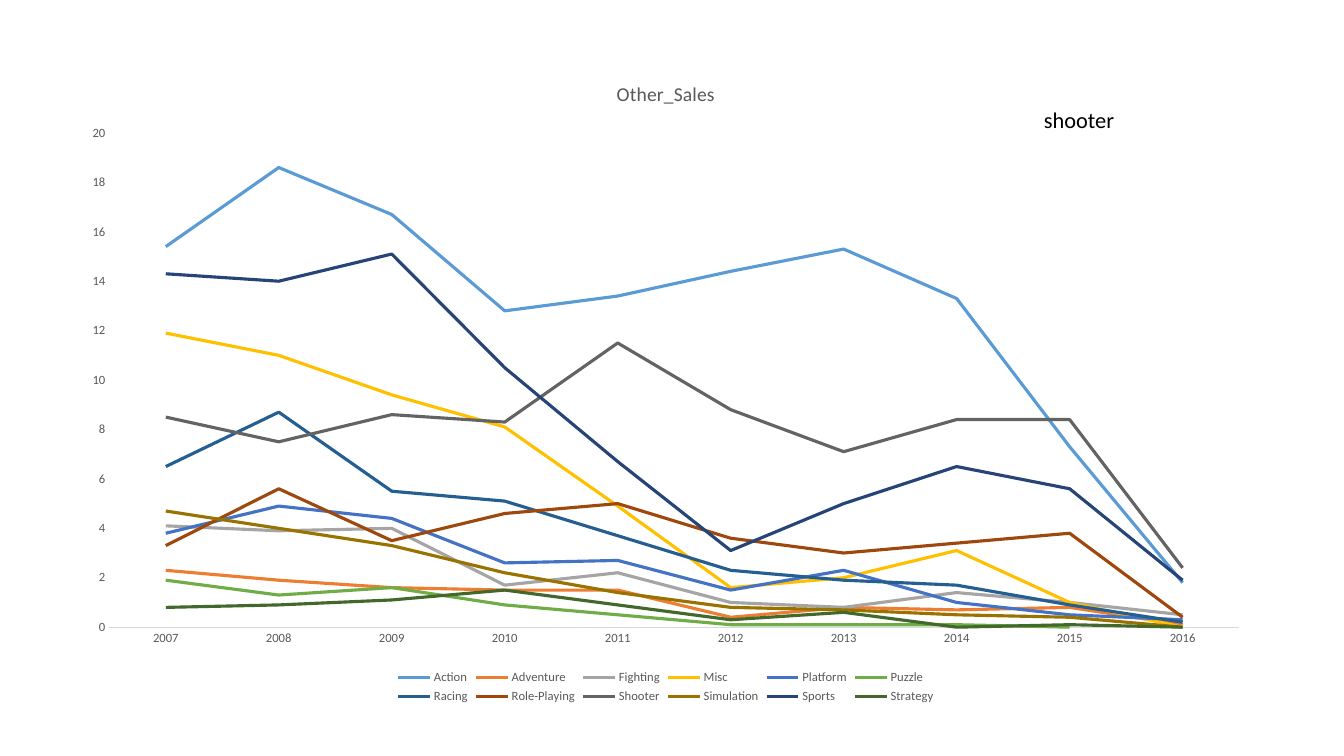
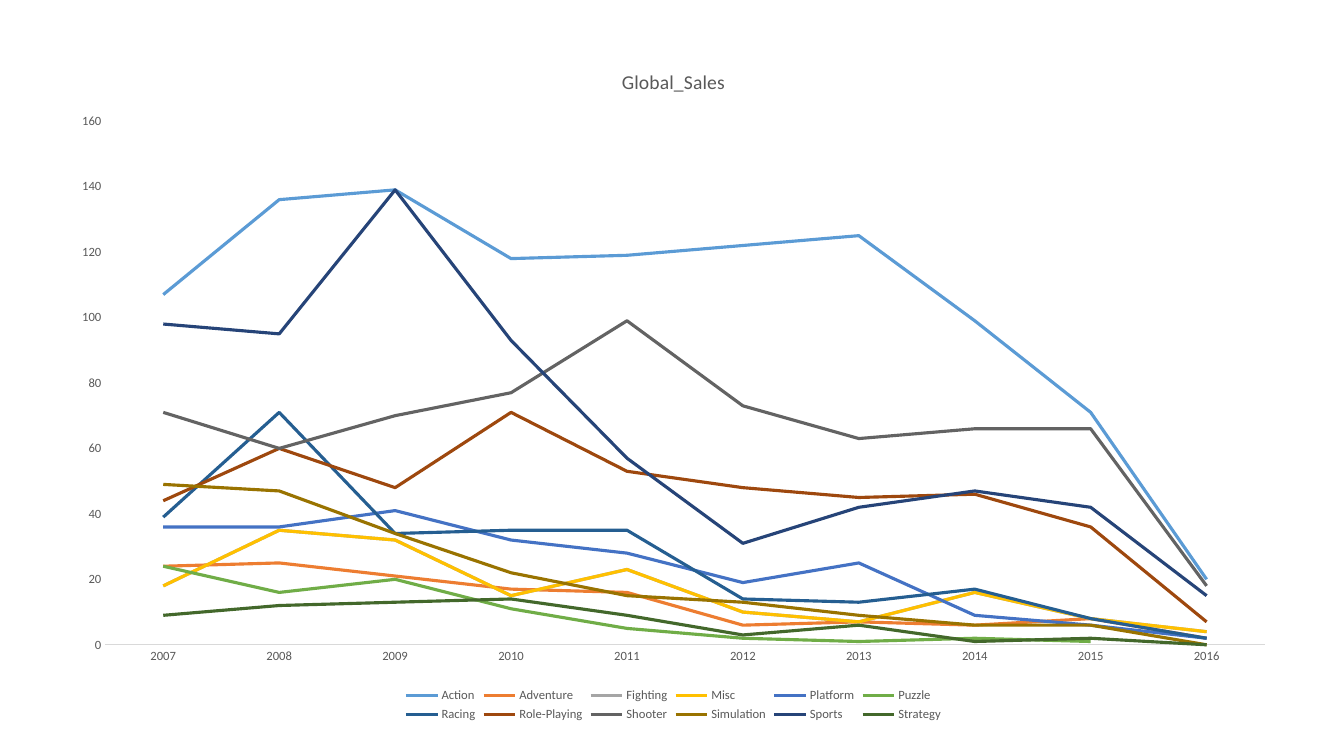
from pptx import Presentation
from pptx.chart.data import CategoryChartData
from pptx.dml.color import RGBColor
from pptx.enum.chart import XL_CHART_TYPE, XL_LEGEND_POSITION, XL_TICK_MARK
from pptx.util import Cm, Pt

LINE = XL_CHART_TYPE.LINE
BOTTOM = XL_LEGEND_POSITION.BOTTOM
NO_TICK = XL_TICK_MARK.NONE

FONT = "Calibri"
COLORS = {"text": "000000", "label": "595959", "axis": "D9D9D9"}
GENRES = {
    "Action": "5B9BD5",
    "Adventure": "ED7D31",
    "Fighting": "A5A5A5",
    "Misc": "FFC000",
    "Platform": "4472C4",
    "Puzzle": "70AD47",
    "Racing": "255E91",
    "Role-Playing": "9E480E",
    "Shooter": "636363",
    "Simulation": "997300",
    "Sports": "264478",
    "Strategy": "43682B",
}
YEARS = range(2007, 2017)

OTHER = {
    "Action": (15.4, 18.6, 16.7, 12.8, 13.4, 14.4, 15.3, 13.3, 7.3, 1.8),
    "Adventure": (2.3, 1.9, 1.6, 1.5, 1.5, 0.4, 0.8, 0.7, 0.8, 0.1),
    "Fighting": (4.1, 3.9, 4, 1.7, 2.2, 1, 0.8, 1.4, 1, 0.5),
    "Misc": (11.9, 11, 9.4, 8.1, 4.9, 1.6, 2, 3.1, 1, 0),
    "Platform": (3.8, 4.9, 4.4, 2.6, 2.7, 1.5, 2.3, 1, 0.5, 0.3),
    "Puzzle": (1.9, 1.3, 1.6, 0.9, 0.5, 0.1, 0.1, 0.1, 0, None),
    "Racing": (6.5, 8.7, 5.5, 5.1, 3.7, 2.3, 1.9, 1.7, 0.9, 0.2),
    "Role-Playing": (3.3, 5.6, 3.5, 4.6, 5, 3.6, 3, 3.4, 3.8, 0.4),
    "Shooter": (8.5, 7.5, 8.6, 8.3, 11.5, 8.8, 7.1, 8.4, 8.4, 2.4),
    "Simulation": (4.7, 4, 3.3, 2.2, 1.4, 0.8, 0.7, 0.5, 0.4, 0),
    "Sports": (14.3, 14, 15.1, 10.5, 6.7, 3.1, 5, 6.5, 5.6, 1.9),
    "Strategy": (0.8, 0.9, 1.1, 1.5, 0.9, 0.3, 0.6, 0, 0.1, 0),
}
GLOBAL = {
    "Action": (107, 136, 139, 118, 119, 122, 125, 99, 71, 20),
    "Adventure": (24, 25, 21, 17, 16, 6, 7, 6, 8, 2),
    "Fighting": (18, 35, 32, 15, 23, 10, 7, 16, 8, 4),
    "Misc": (18, 35, 32, 15, 23, 10, 7, 16, 8, 4),
    "Platform": (36, 36, 41, 32, 28, 19, 25, 9, 6, 2),
    "Puzzle": (24, 16, 20, 11, 5, 2, 1, 2, 1, None),
    "Racing": (39, 71, 34, 35, 35, 14, 13, 17, 8, 2),
    "Role-Playing": (44, 60, 48, 71, 53, 48, 45, 46, 36, 7),
    "Shooter": (71, 60, 70, 77, 99, 73, 63, 66, 66, 18),
    "Simulation": (49, 47, 34, 22, 15, 13, 9, 6, 6, 0),
    "Sports": (98, 95, 139, 93, 57, 31, 42, 47, 42, 15),
    "Strategy": (9, 12, 13, 14, 9, 3, 6, 1, 2, 0),
}


def rgb(name):
    return RGBColor.from_string(COLORS[name])


def style(font, size, color):
    font.name = FONT
    font.size = Pt(size)
    font.bold = False
    font.color.rgb = rgb(color)


def add_run(frame, text, size, color):
    run = frame.paragraphs[0].add_run()
    run.text = text
    style(run.font, size, color)


def style_axes(chart, top, step):
    years, sales = chart.category_axis, chart.value_axis
    for axis in (years, sales):
        axis.has_major_gridlines = False
        axis.major_tick_mark = axis.minor_tick_mark = NO_TICK
        style(axis.tick_labels.font, 9, "label")
    years.format.line.color.rgb = rgb("axis")
    years.format.line.width = Pt(0.75)
    sales.format.line.fill.background()
    sales.minimum_scale, sales.maximum_scale = 0, top
    sales.major_unit = step


def sales_chart(slide, box, title, sales, top, step):
    """Draw one line per genre inside box (left, top, width, height in cm)."""
    data = CategoryChartData()
    data.categories = YEARS
    for genre in GENRES:
        data.add_series(genre, sales[genre])
    chart = slide.shapes.add_chart(LINE, *map(Cm, box), data).chart
    style(chart.font, 10, "text")
    chart.has_title = True
    add_run(chart.chart_title.text_frame, title, 14, "label")
    chart.has_legend = True
    chart.legend.position = BOTTOM
    chart.legend.include_in_layout = False
    style(chart.legend.font, 9, "label")
    style_axes(chart, top, step)
    plot = chart.plots[0]
    plot.vary_by_categories = False
    for line, color in zip(plot.series, GENRES.values()):
        line.smooth = False
        line.format.line.color.rgb = RGBColor.from_string(color)
        line.format.line.width = Pt(2.25)


def note(slide, box, text):
    frame = slide.shapes.add_textbox(*map(Cm, box)).text_frame
    frame.word_wrap = True
    add_run(frame, text, 16, "text")


def main():
    deck = Presentation()
    deck.slide_width, deck.slide_height = Cm(33.87), Cm(19.05)
    blank = deck.slide_layouts[6]

    slide = deck.slides.add_slide(blank)
    sales_chart(slide, (1.73, 1.47, 30.1, 16.36), "Other_Sales", OTHER, 20, 2)
    note(slide, (26.06, 2.54, 3.28, 1.19), "shooter")

    slide = deck.slides.add_slide(blank)
    sales_chart(slide, (1.45, 1.14, 31.04, 17.15), "Global_Sales", GLOBAL, 160, 20)

    deck.save("out.pptx")


if __name__ == "__main__":
    main()
